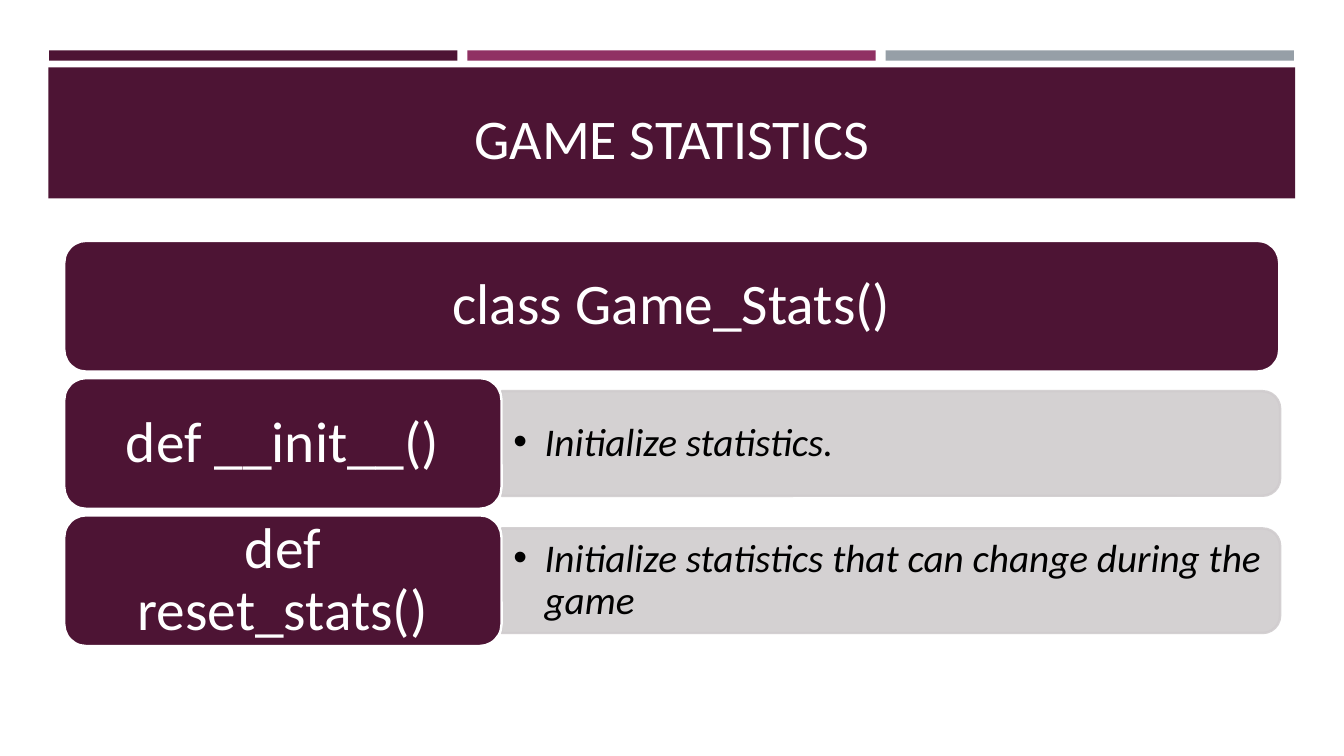
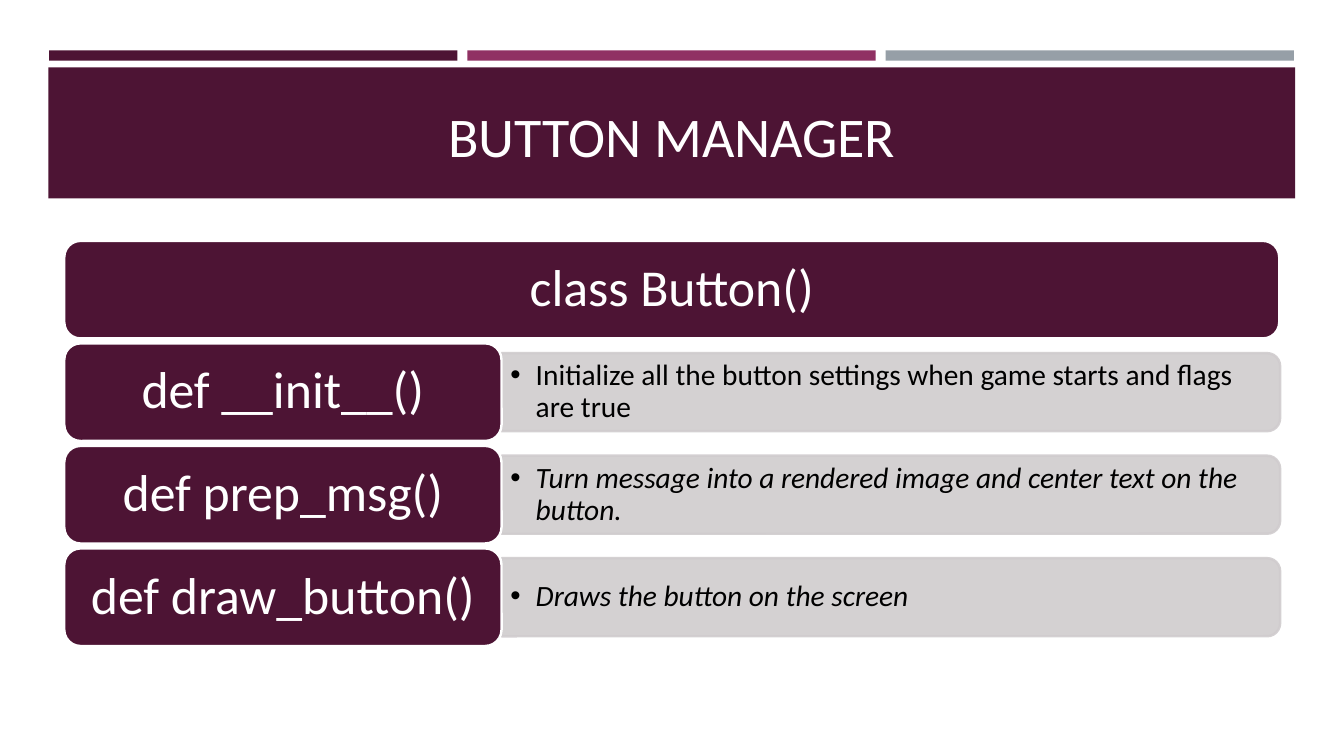
from dataclasses import dataclass

from pptx import Presentation
from pptx.dml.color import RGBColor
from pptx.enum import shapes, text
from pptx.oxml import ns
from pptx.util import Cm, Pt
from lxml import etree


# Colours, font and type sizes
@dataclass(frozen=True)
class Theme:
    plum: str = "4D1434"
    magenta: str = "903163"
    slate: str = "969FA7"
    pale: str = "D0CCCE"
    white: str = "FFFFFF"
    black: str = "000000"
    font: str = "Calibri"
    title_size: int = 40
    line_width: float = 1.75


THEME = Theme()

# Diagram geometry in cm
LEFT, TOP, WIDTH, HEIGHT = 1.62, 6.07, 30.62, 10.21
LABEL_WIDTH, DETAIL_WIDTH = 11.02, 19.62
GAP_RATIO, BAR_RATIO = 0.05, 0.8  # relative to the row height

RECT = shapes.MSO_SHAPE.RECTANGLE
ROUNDED = shapes.MSO_SHAPE.ROUNDED_RECTANGLE
ROUND_TOP = shapes.MSO_SHAPE.ROUND_2_SAME_RECTANGLE


def add_box(slide, kind, box, fill, line=None):
    sp = slide.shapes.add_shape(kind, *map(Cm, box))
    sp.shadow.inherit = False
    sp.fill.solid()
    sp.fill.fore_color.rgb = RGBColor.from_string(fill)
    if line:
        sp.line.color.rgb = RGBColor.from_string(line)
        sp.line.width = Pt(THEME.line_width)
    else:
        sp.line.fill.background()
    return sp


def add_run(p, words, size, color, italic=False):
    r = p.add_run()
    r.text = words
    r.font.name = THEME.font
    r.font.size = Pt(size)
    r.font.italic = italic
    r.font.color.rgb = RGBColor.from_string(color)


def set_frame(tf, size, corner=0):
    """Insets follow the type size; corner keeps text off the rounding."""
    tf.word_wrap = True
    tf.vertical_anchor = text.MSO_ANCHOR.MIDDLE
    tf.margin_left = tf.margin_right = Pt(0.3 * size) + Cm(corner)
    tf.margin_top = tf.margin_bottom = Pt(0.15 * size) + Cm(corner)
    p = tf.paragraphs[0]
    p.line_spacing = 0.9
    return p


def set_bullet(p, indent):
    props = p._p.get_or_add_pPr()
    props.set("marL", str(Cm(indent)))
    props.set("indent", str(-Cm(indent)))
    etree.SubElement(props, ns.qn("a:buFont")).set("typeface", "Arial")
    etree.SubElement(props, ns.qn("a:buChar")).set("char", "•")


def set_opacity(sp, percent):
    for color in list(sp._element.iter(ns.qn("a:srgbClr"))):
        etree.SubElement(color, ns.qn("a:alpha")).set("val", str(percent * 1000))


# Plum box with a class or method name
def add_label(slide, box, words, size):
    sp = add_box(slide, ROUNDED, box, THEME.plum, THEME.white)
    p = set_frame(sp.text_frame, size, 0.05 * box[3])
    p.alignment = text.PP_ALIGN.CENTER
    add_run(p, words, size, THEME.white)


# Pale bar rounded on its right side, with one bullet
def add_detail(slide, box, words, size, indent, italic):
    x, y, w, h = box
    upright = (x + (w - h) / 2, y + (h - w) / 2, h, w)
    bar = add_box(slide, ROUND_TOP, upright, THEME.pale, THEME.pale)
    bar.rotation = 90
    set_opacity(bar, 90)
    tb = slide.shapes.add_textbox(*map(Cm, (x, y, w - 0.12, h)))
    p = set_frame(tb.text_frame, size)
    set_bullet(p, indent)
    add_run(p, words, size, THEME.black, italic)


# Class name on top, one row per method below
def add_class_diagram(slide, name, methods, label_size, detail_size, indent):
    rows = len(methods) + 1
    row_h = HEIGHT / (rows + GAP_RATIO * (rows - 1))
    bar_h = BAR_RATIO * row_h
    add_label(slide, (LEFT, TOP, WIDTH, row_h), name, label_size)
    for i, (method, detail, italic) in enumerate(methods, 1):
        y = TOP + i * row_h * (1 + GAP_RATIO)
        bar = (LEFT + LABEL_WIDTH, y + (row_h - bar_h) / 2, DETAIL_WIDTH, bar_h)
        add_detail(slide, bar, detail, detail_size, indent, italic)
        add_label(slide, (LEFT, y, LABEL_WIDTH, row_h), method, label_size)


# Three strips and the title band
def add_bands(slide):
    for i, color in enumerate((THEME.plum, THEME.magenta, THEME.slate)):
        add_box(slide, RECT, (1.24 + i * 10.54, 1.27, 10.29, 0.26), color)
    add_box(slide, RECT, (1.22, 1.7, 31.42, 3.3), THEME.plum)


def add_title(slide, words, top):
    sp = slide.shapes.title
    sp.left, sp.top, sp.width, sp.height = map(Cm, (LEFT, top, 30.63, 2.26))
    sp.element.getparent().append(sp.element)  # in front of the band
    tf = sp.text_frame
    tf.word_wrap = True
    tf.vertical_anchor = text.MSO_ANCHOR.BOTTOM
    p = tf.paragraphs[0]
    p.alignment = text.PP_ALIGN.CENTER
    add_run(p, words, THEME.title_size, THEME.white)


def add_slide(prs, title, title_top):
    slide = prs.slides.add_slide(prs.slide_layouts.get_by_name("Title Only"))
    add_bands(slide)
    add_title(slide, title, title_top)
    return slide


def main():
    prs = Presentation()
    prs.slide_width, prs.slide_height = Cm(33.87), Cm(19.05)

    # Game statistics
    slide = add_slide(prs, "GAME STATISTICS", 2.18)
    add_class_diagram(slide, "class Game_Stats()", [
        ("def __init__()", "Initialize statistics.", True),
        ("def reset_stats()",
         "Initialize statistics that can change during the game", True),
    ], label_size=41, detail_size=28, indent=0.79)

    # Button manager
    slide = add_slide(prs, "BUTTON MANAGER", 2.13)
    add_class_diagram(slide, "class Button()", [
        ("def __init__()",
         "Initialize all the button settings when game starts and flags are true",
         False),
        ("def prep_msg()",
         "Turn message into a rendered image and center text on the button.",
         True),
        ("def draw_button()", "Draws the button on the screen", True),
    ], label_size=37, detail_size=21, indent=0.64)

    prs.save("out.pptx")


if __name__ == "__main__":
    main()
